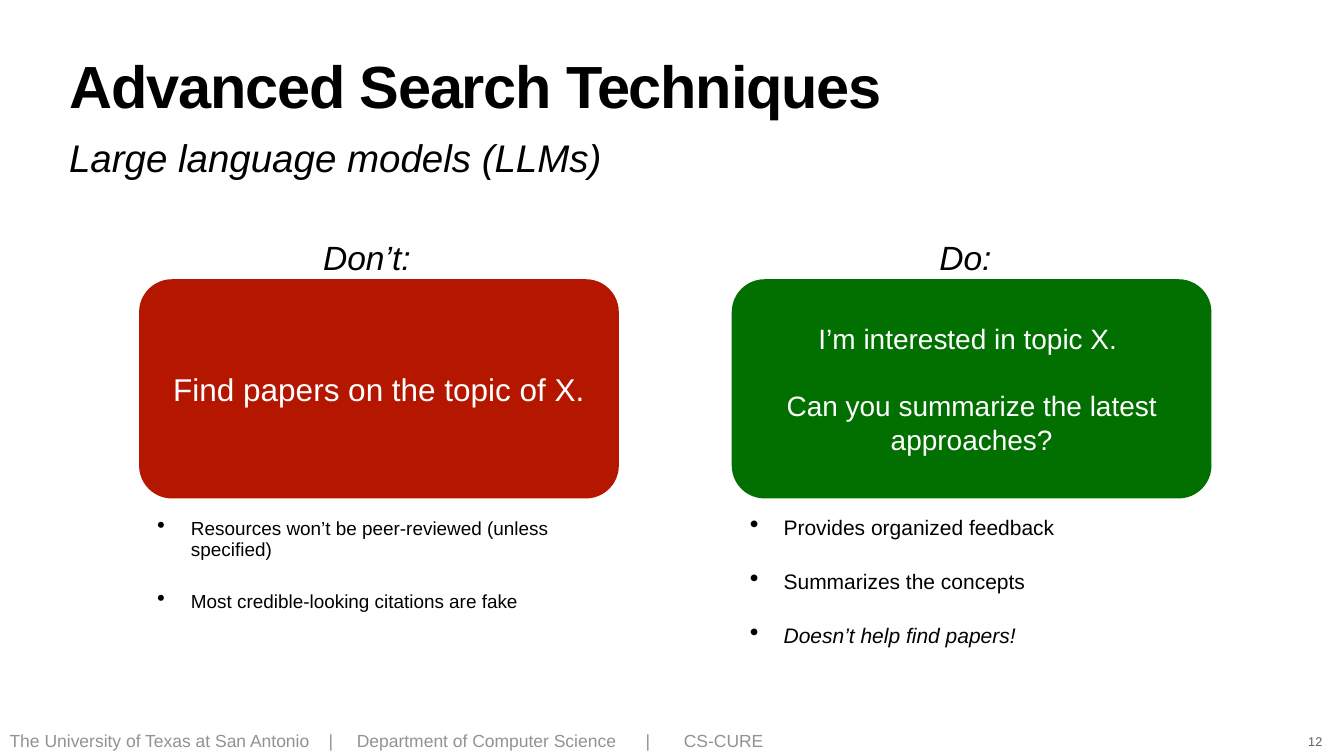
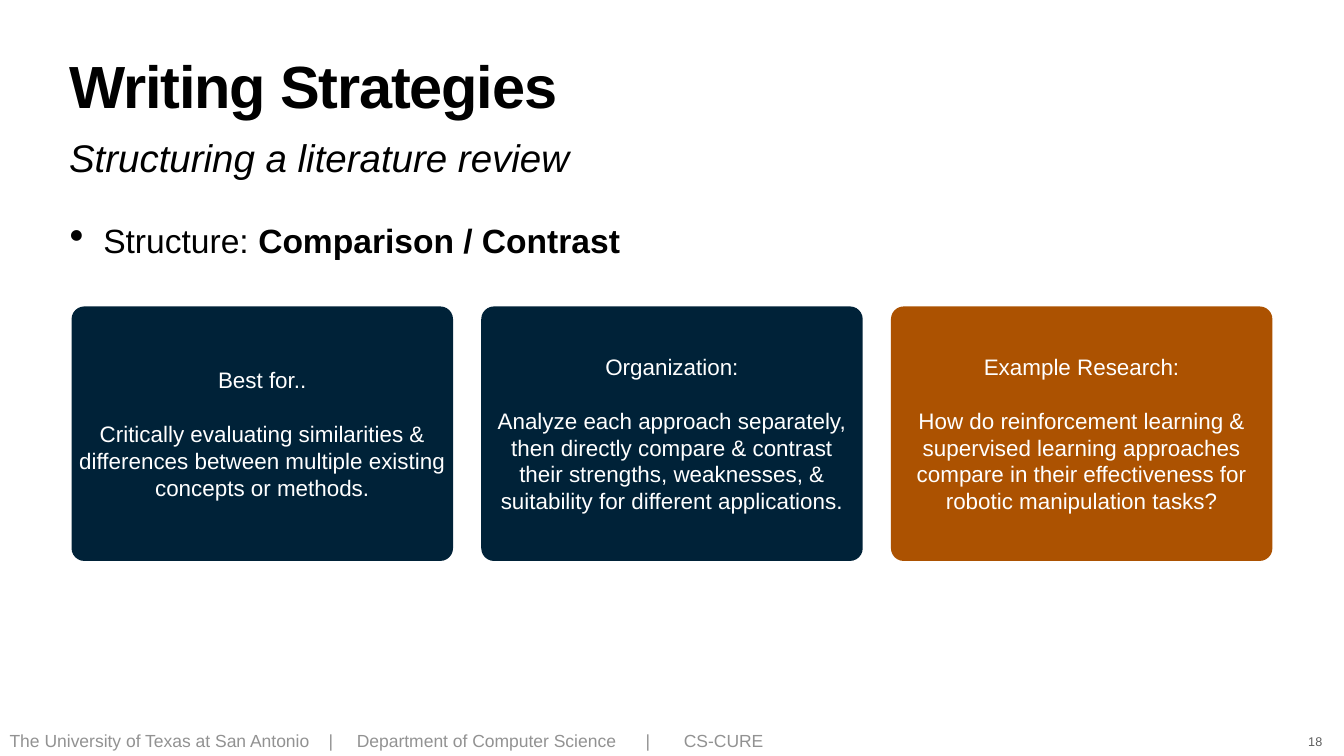
from pptx import Presentation
from pptx.dml.color import RGBColor
from pptx.enum.shapes import MSO_SHAPE as Shape
from pptx.enum.text import MSO_ANCHOR as Anchor, MSO_AUTO_SIZE as AutoSize, PP_ALIGN as Align
from pptx.oxml.ns import qn
from pptx.util import Emu, Inches, Pt
from lxml.etree import SubElement

FONT = "Arial"
BLACK = RGBColor(0x00, 0x00, 0x00)
WHITE = RGBColor(0xFF, 0xFF, 0xFF)
FOOTER_GREY = RGBColor(0x92, 0x92, 0x92)
NUMBER_GREY = RGBColor(0x5E, 0x5E, 0x5E)
RED = RGBColor(0xB5, 0x16, 0x00)
GREEN = RGBColor(0x02, 0x70, 0x01)
NAVY = RGBColor(0x00, 0x22, 0x38)
ORANGE = RGBColor(0xAC, 0x52, 0x01)

WIDTH, HEIGHT = 26.67, 15
MARGIN, BODY_WIDTH = 1.32, 24.03
INSET = 0.06
INDENT = 0.67
PARA_GAP = 45

FOOTER = ["The University of Texas at San Antonio", "|",
          "Department of Computer Science", "|", "CS-CURE"]
FOOTER_TABS = [6.33, 6.89, 12.62, 13.38]

# A paragraph is a string or a list of (text, style) spans.
SEARCH = {
    "title": "Advanced Search Techniques",
    "subtitle": "Large language models (LLMs)",
    "number": "12",
    "columns": [
        {"label": "Don’t:", "label_at": (6.35, 1.92), "fill": RED,
         "prompt": ["Find papers on the topic of X."], "prompt_size": 45,
         "notes": ["Resources won’t be peer-reviewed (unless specified)",
                   "Most credible-looking citations are fake"],
         "notes_size": 27, "notes_at": (10.22, 9.26, 2.01)},
        {"label": "Do:", "label_at": (18.58, 1.16), "fill": GREEN,
         "prompt": ["I’m interested in topic X. ",
                    "Can you summarize the latest approaches?"], "prompt_size": 40,
         "notes": ["Provides organized feedback", "Summarizes the concepts",
                   [("Doesn’t help find papers!", "italic")]],
         "notes_size": 30, "notes_at": (10.19, 8.93, 2.75)},
    ],
}
WRITING = {
    "title": "Writing Strategies",
    "subtitle": "Structuring a literature review",
    "number": "18",
    "point": [("Structure: ", ""), ("Comparison / Contrast", "bold")],
    "cards": [
        (NAVY, ["Best for..",
                "Critically evaluating similarities & differences between "
                "multiple existing concepts or methods."]),
        (NAVY, ["Organization:",
                "Analyze each approach separately, then directly compare & contrast "
                "their strengths, weaknesses, & suitability for different applications."]),
        (ORANGE, ["Example Research:",
                  "How do reinforcement learning & supervised learning approaches "
                  "compare in their effectiveness for robotic manipulation tasks?"]),
    ],
}


def write(box, paras, size, color=BLACK, style="", align=Align.LEFT, anchor=Anchor.MIDDLE,
          line=None, gap=0, inset=INSET, wrap=True, grow=False):
    """Fill a shape's text frame with evenly formatted paragraphs."""
    frame = box.text_frame
    frame.word_wrap = wrap
    frame.auto_size = AutoSize.SHAPE_TO_FIT_TEXT if grow else AutoSize.NONE
    frame.vertical_anchor = anchor
    frame.margin_left = frame.margin_right = Inches(inset)
    frame.margin_top = frame.margin_bottom = Inches(inset)
    for index, spans in enumerate(paras):
        para = frame.add_paragraph() if index else frame.paragraphs[0]
        para.alignment = align
        para.space_before = Pt(gap)
        if line:
            para.line_spacing = line
        for text, span_style in [(spans, style)] if isinstance(spans, str) else spans:
            span = para.add_run()
            span.text = text
            span.font.name = FONT
            span.font.size = Pt(size)
            span.font.color.rgb = color
            span.font.bold = span_style == "bold"
            span.font.italic = span_style == "italic"
    return frame.paragraphs


def add_text(page, place, paras, size, **options):
    box = page.shapes.add_textbox(*map(Inches, place))
    return write(box, paras, size, **options)


def add_bullets(page, place, paras, size, **options):
    for para in add_text(page, place, paras, size, line=0.9, gap=PARA_GAP, **options):
        props = para._p.get_or_add_pPr()
        props.set("marL", str(Inches(INDENT)))
        props.set("indent", str(-Inches(INDENT)))
        SubElement(props, qn("a:buSzPct")).set("val", "123000")
        SubElement(props, qn("a:buChar")).set("char", "•")


def add_card(page, place, fill, corner, paras, size):
    card = page.shapes.add_shape(Shape.ROUNDED_RECTANGLE, *map(Inches, place))
    card.adjustments[0] = corner
    card.shadow.inherit = False
    card.fill.solid()
    card.fill.fore_color.rgb = fill
    card.line.fill.background()
    write(card, paras, size, color=WHITE, align=Align.CENTER, gap=1.2 * size)


def add_footer(page, number):
    para = add_text(page, (0.13, 14.45, 25.48, 0.52), ["\t".join(FOOTER)], 25,
                    color=FOOTER_GREY, line=0.9, gap=PARA_GAP, grow=True)[0]
    tabs = SubElement(para._p.get_or_add_pPr(), qn("a:tabLst"))
    for stop in FOOTER_TABS:
        tab = SubElement(tabs, qn("a:tab"))
        tab.set("pos", str(Inches(stop)))
        tab.set("algn", "l")
    add_text(page, (25.9, 14.51, 0.4, 0.41), [number], 18, color=NUMBER_GREY,
             align=Align.CENTER, anchor=Anchor.BOTTOM, wrap=False, grow=True)


def add_page(deck, content):
    """Add a slide with the shared title, subtitle and footer."""
    page = deck.slides.add_slide(deck.slide_layouts[5])
    title = page.shapes.title
    title.left, title.top, title.width, title.height = map(
        Inches, (MARGIN, 1.18, BODY_WIDTH, 1.57))
    para = write(title, [content["title"]], 85, style="bold", anchor=Anchor.TOP, line=0.8)[0]
    para.runs[0].font._element.set("spc", "-170")
    add_text(page, (MARGIN, 2.6, BODY_WIDTH, 1.02), [content["subtitle"]], 55,
             style="italic", anchor=Anchor.TOP, inset=0.05)
    add_footer(page, content["number"])
    return page


def build_search(deck):
    page = add_page(deck, SEARCH)
    for index, column in enumerate(SEARCH["columns"]):
        left = 2.76 + 11.76 * index
        add_card(page, (left, 5.54, 9.52, 4.35), column["fill"], 0.15,
                 column["prompt"], column["prompt_size"])
        label_left, label_width = column["label_at"]
        add_text(page, (label_left, 4.71, label_width, 0.88), [column["label"]], 48,
                 style="italic", line=0.9, gap=PARA_GAP, wrap=False, grow=True)
        top, width, height = column["notes_at"]
        add_bullets(page, (left + 0.3, top, width, height), column["notes"],
                    column["notes_size"], grow=True)


def build_writing(deck):
    page = add_page(deck, WRITING)
    card_width, gap = 7.57, 0.56
    for index, (fill, paras) in enumerate(WRITING["cards"]):
        left = 1.42 + index * (card_width + gap)
        add_card(page, (left, 6.08, card_width, 5.05), fill, 0.05, paras, 32)
    add_bullets(page, (MARGIN, 4.39, BODY_WIDTH, 1.32), [WRITING["point"]], 48,
                align=Align.JUSTIFY, anchor=Anchor.TOP)


def main():
    deck = Presentation()
    deck.slide_width, deck.slide_height = Emu(Inches(WIDTH)), Emu(Inches(HEIGHT))
    build_search(deck)
    build_writing(deck)
    deck.save("out.pptx")


if __name__ == "__main__":
    main()
